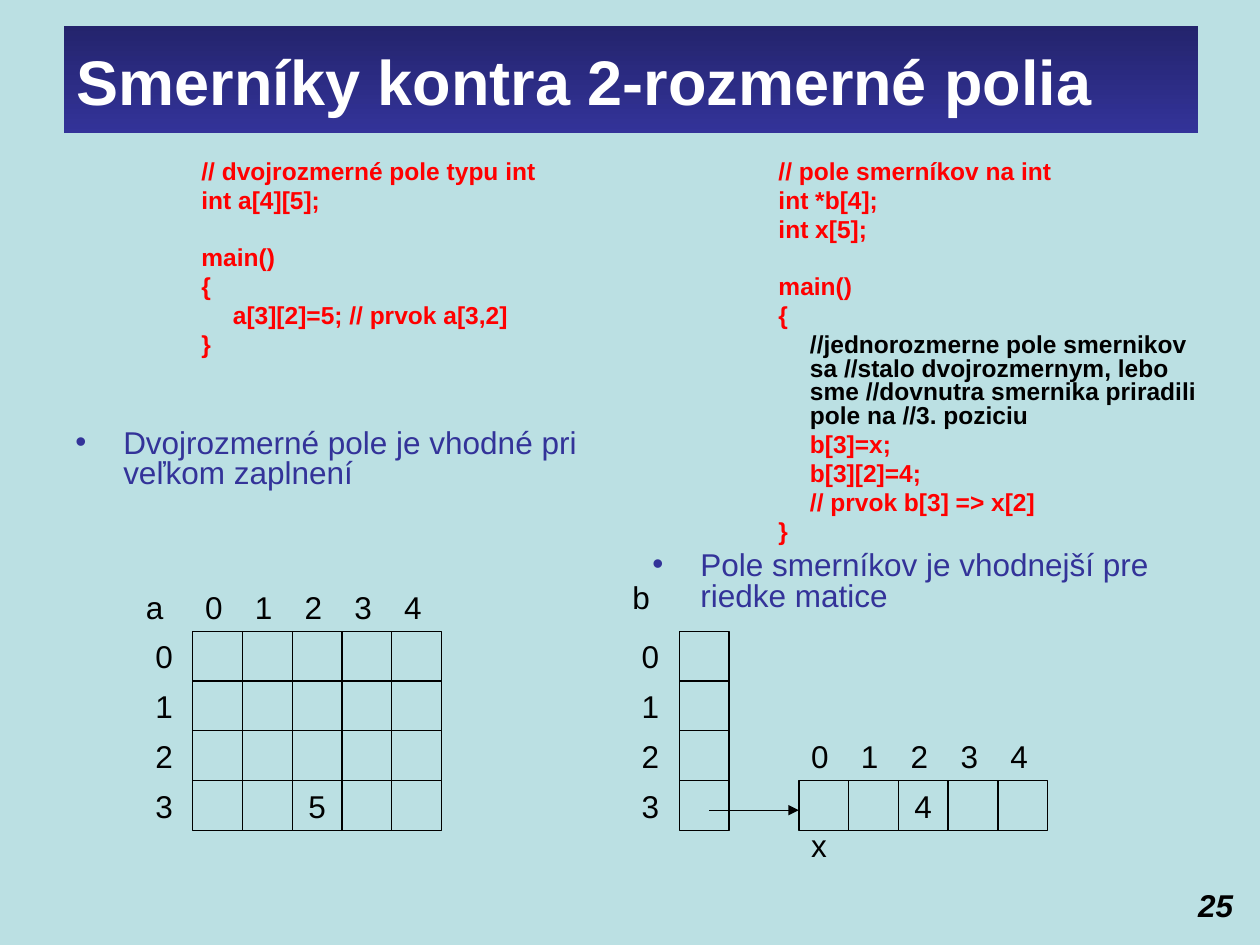
import pptx
import pptx.util
import pptx.dml.color
import pptx.enum.shapes
import pptx.enum.text
import pptx.oxml
import pptx.oxml.ns
from pptx.util import Inches

BACKGROUND, NAVY, DEEP_NAVY = "BBE0E3", "333399", "24246D"
RED, BLACK, WHITE = "FF0000", "000000", "FFFFFF"
CELL = 1.58 / 4
LABEL = 0.34
CODE_GAP, BULLET_GAP = 3.2, 4.1
BLANK_CODE_LINE = 16.1


def color(hex_text):
    return pptx.dml.color.RGBColor.from_string(hex_text)


def add_run(p, text, size=18, fill=BLACK, bold=False, italic=False):
    r = p.add_run()
    r.text = text
    r.font.name = "Arial"
    r.font.size = pptx.util.Pt(size)
    r.font.color.rgb = color(fill)
    r.font.bold = bold
    r.font.italic = italic
    return r


def add_xml(parent, tag, **attributes):
    child = parent.makeelement(pptx.oxml.ns.qn(tag), attributes)
    parent.append(child)
    return child


class SlideBuilder:
    def __init__(self, prs):
        self.slide = prs.slides.add_slide(prs.slide_layouts[5])
        self.shapes = self.slide.shapes
        self.slide.background.fill.solid()
        self.slide.background.fill.fore_color.rgb = color(BACKGROUND)

    def title(self, text, x, y, w, h):
        sp = self.shapes.title
        sp.left, sp.top = Inches(x), Inches(y)
        sp.width, sp.height = Inches(w), Inches(h)
        sp.fill.gradient()
        sp.fill.gradient_angle = 270
        for stop, shade, position in zip(sp.fill.gradient_stops, (DEEP_NAVY, NAVY), (0, 1)):
            stop.color.rgb = color(shade)
            stop.position = position
        tf = sp.text_frame
        tf.auto_size = pptx.enum.text.MSO_AUTO_SIZE.NONE
        tf.vertical_anchor = pptx.enum.text.MSO_ANCHOR.MIDDLE
        p = tf.paragraphs[0]
        p.alignment = pptx.enum.text.PP_ALIGN.LEFT
        add_run(p, text, size=36, fill=WHITE, bold=True)

    def text_box(self, x, y, w, h, wrap):
        sp = self.shapes.add_textbox(Inches(x), Inches(y), Inches(w), Inches(h))
        sp.text_frame.word_wrap = wrap
        return sp.text_frame

    def label(self, text, x, y, w=LABEL, **style):
        tf = self.text_box(x, y, w, 0.4, wrap=False)
        add_run(tf.paragraphs[0], text, **style)

    def column(self, x, y, w, h, code, conclusion, conclusion_gap=BULLET_GAP):
        """Code lines as (text, indent level, colour, extra space), then a bulleted conclusion."""
        tf = self.text_box(x, y, w, h, wrap=True)
        p = tf.paragraphs[0]
        for text, level, fill, extra in code:
            self.format_paragraph(p, 1 + 0.25 * level, 0, CODE_GAP + extra)
            add_run(p, text, size=14, fill=fill, bold=True)
            p = tf.add_paragraph()
        self.format_paragraph(p, 0.38, -0.38, conclusion_gap)
        add_xml(p._p.get_or_add_pPr(), "a:buFont", typeface="Arial")
        add_xml(p._p.get_or_add_pPr(), "a:buChar", char="•")
        add_run(p, conclusion, fill=NAVY)

    def format_paragraph(self, p, margin, indent, before):
        p.line_spacing = 0.8
        p.space_before = pptx.util.Pt(before)
        pPr = p._p.get_or_add_pPr()
        pPr.set("marL", str(Inches(margin)))
        pPr.set("indent", str(Inches(indent)))

    def cell(self, x, y, text=""):
        sp = self.shapes.add_shape(pptx.enum.shapes.MSO_SHAPE.RECTANGLE,
                                   Inches(x), Inches(y), Inches(CELL), Inches(CELL))
        sp.shadow.inherit = False
        sp.fill.solid()
        sp.fill.fore_color.rgb = color(BACKGROUND)
        sp.line.color.rgb = color(BLACK)
        sp.line.width = pptx.util.Pt(0.75)
        if text:
            tf = sp.text_frame
            tf.word_wrap = False
            tf.vertical_anchor = pptx.enum.text.MSO_ANCHOR.MIDDLE
            p = tf.paragraphs[0]
            p.alignment = pptx.enum.text.PP_ALIGN.CENTER
            add_run(p, text)

    def array(self, x, y, rows, columns, values=None, row_labels=False, column_labels=False):
        """Grid of cells; values maps (row, column) to text."""
        values = values or {}
        for row in range(rows):
            for col in range(columns):
                self.cell(x + col * CELL, y + row * CELL, values.get((row, col), ""))
        if row_labels:
            for row in range(rows):
                self.label(str(row), x - CELL, y + row * CELL)
        if column_labels:
            for col in range(columns):
                self.label(str(col), x + col * CELL, y - CELL)

    def arrow(self, x1, y1, x2, y2):
        line = self.shapes.add_connector(pptx.enum.shapes.MSO_CONNECTOR.STRAIGHT,
                                         Inches(x1), Inches(y1), Inches(x2), Inches(y2))
        line.line.color.rgb = color(BLACK)
        line.line.width = pptx.util.Pt(0.75)
        add_xml(line.line._get_or_add_ln(), "a:tailEnd", type="triangle")
        add_xml(line._element.spPr, "a:effectLst")


def main():
    prs = pptx.Presentation()
    prs.slide_width, prs.slide_height = Inches(10), Inches(7.5)
    s = SlideBuilder(prs)
    s.title("Smerníky kontra 2-rozmerné polia", 0.51, 0.21, 9, 0.85)

    s.column(0.5, 1.23, 4.42, 3.15, [
        ("// dvojrozmerné pole typu int", 0, RED, 0),
        ("int a[4][5];", 0, RED, 0),
        ("main()", 0, RED, BLANK_CODE_LINE),
        ("{", 0, RED, 0),
        ("a[3][2]=5; // prvok a[3,2]", 1, RED, 0),
        ("}", 0, RED, 0),
    ], "Dvojrozmerné pole je vhodné pri veľkom zaplnení", conclusion_gap=41)

    s.column(5.08, 1.23, 4.81, 3.15, [
        ("// pole smerníkov na int", 0, RED, 0),
        ("int *b[4];", 0, RED, 0),
        ("int x[5];", 0, RED, 0),
        ("main()", 0, RED, BLANK_CODE_LINE),
        ("{", 0, RED, 0),
        ("//jednorozmerne pole smernikov sa //stalo dvojrozmernym, lebo sme "
         "//dovnutra smernika priradili pole na //3. poziciu", 1, BLACK, 0),
        ("b[3]=x;", 1, RED, 0),
        ("b[3][2]=4;", 1, RED, 0),
        ("// prvok b[3] => x[2]", 1, RED, 0),
        ("}", 0, RED, 0),
    ], "Pole smerníkov je vhodnejší pre riedke matice")

    top = 5.01
    last_row = top + 3 * CELL
    s.array(1.53, top, 4, 5, {(3, 2): "5"}, row_labels=True, column_labels=True)
    s.label("a", 1.06, 4.62)
    s.array(5.39, top, 4, 1, row_labels=True)
    s.label("b", 4.92, 4.54)
    s.array(6.34, last_row, 1, 5, {(0, 2): "4"}, column_labels=True)
    s.label("x", 6.34, 6.51)
    s.arrow(5.63, 6.43, 6.34, 6.43)
    s.label("25", 9.41, 6.98, w=0.48, bold=True, italic=True)

    prs.save("out.pptx")


if __name__ == "__main__":
    main()
